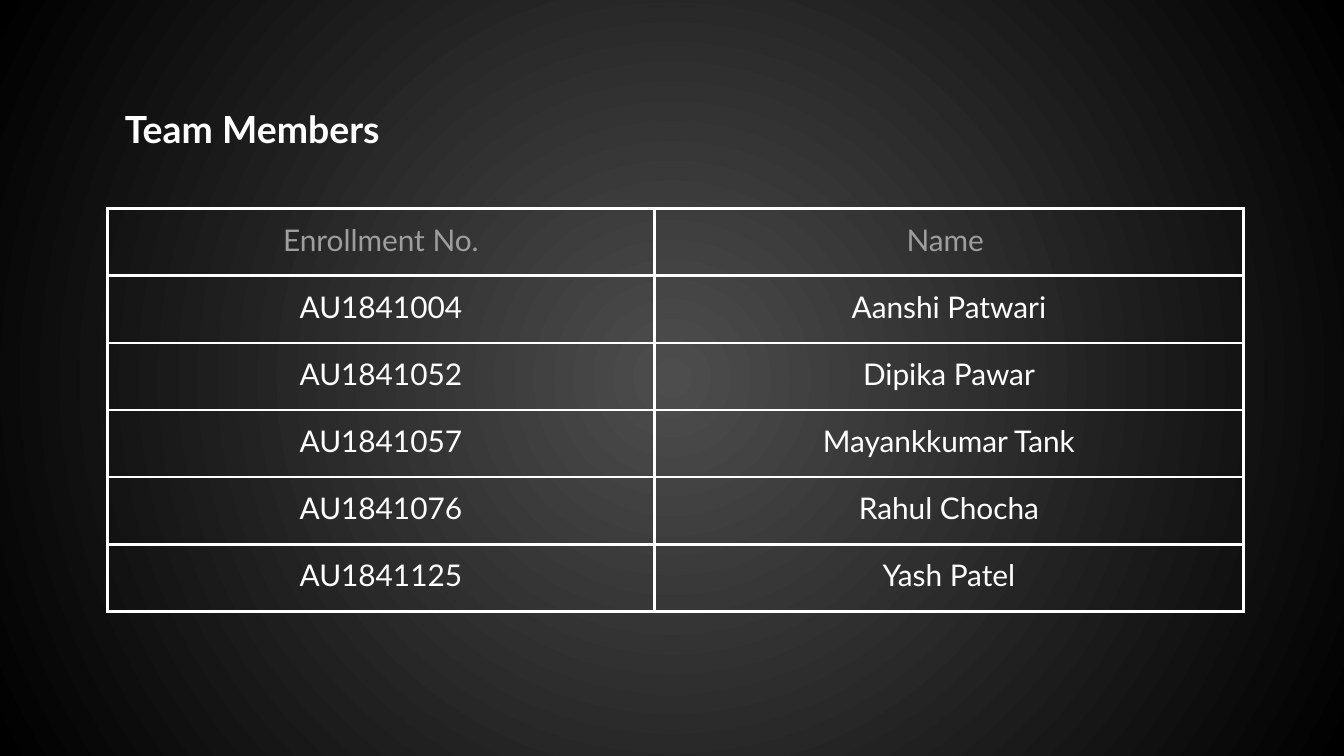
from dataclasses import dataclass

from lxml.etree import SubElement
from pptx import Presentation
from pptx.dml.color import RGBColor
from pptx.enum.text import MSO_ANCHOR, PP_ALIGN
from pptx.oxml import parse_xml
from pptx.oxml.ns import nsdecls, qn
from pptx.util import Cm, Pt


@dataclass(frozen=True)
class Theme:
    font: str = "Lato"
    text: str = "FFFFFF"
    header: str = "9E9E9E"
    border: str = "FFFFFF"
    glow: str = "4D4D4D"
    edge: str = "000000"
    title_size: int = 20
    table_size: int = 16
    border_width: float = 1.5


theme = Theme()
INSET = Cm(0.25)


def format_text(paragraph, size, color, bold=False):
    for run in paragraph.runs:
        run.font.name = theme.font
        run.font.size = Pt(size)
        run.font.bold = bold
        run.font.color.rgb = RGBColor.from_string(color)


def add_borders(cell):
    properties = cell._tc.get_or_add_tcPr()
    for side in ("lnL", "lnR", "lnT", "lnB"):
        line = SubElement(properties, qn(f"a:{side}"), w=str(Pt(theme.border_width)))
        fill = SubElement(line, qn("a:solidFill"))
        SubElement(fill, qn("a:srgbClr"), val=theme.border)


presentation = Presentation()
presentation.slide_width = Cm(25.4)
presentation.slide_height = Cm(14.29)
slide = presentation.slides.add_slide(presentation.slide_layouts[6])

# Background: a circular glow from the centre
background = slide.background.fill
background.gradient()
for stop, color in zip(background.gradient_stops, (theme.glow, theme.edge)):
    stop.color.rgb = RGBColor.from_string(color)
linear = slide._element.find(f".//{qn('a:gradFill')}/{qn('a:lin')}")
linear.getparent().replace(linear, parse_xml(
    f'<a:path {nsdecls("a")} path="circle">'
    '<a:fillToRect l="50000" t="50000" r="50000" b="50000"/></a:path>'))

# Title
title = slide.shapes.add_textbox(Cm(2.11), Cm(1.8), Cm(17.15), Cm(1.14))
frame = title.text_frame
frame.word_wrap = True
frame.vertical_anchor = MSO_ANCHOR.MIDDLE
frame.margin_left = frame.margin_right = frame.margin_top = frame.margin_bottom = INSET
frame.text = "Team Members"
frame.paragraphs[0].line_spacing = 1.15
format_text(frame.paragraphs[0], theme.title_size, theme.text, bold=True)

# Members table
members = [
    ("Enrollment No.", "Name "),
    ("AU1841004", "Aanshi Patwari"),
    ("AU1841052", "Dipika Pawar"),
    ("AU1841057", "Mayankkumar Tank"),
    ("AU1841076", "Rahul Chocha"),
    ("AU1841125", "Yash Patel"),
]
column_widths = (Cm(10.34), Cm(11.13))
row_height = Cm(1.27)
table = slide.shapes.add_table(
    len(members), len(column_widths), Cm(2.03), Cm(3.94),
    sum(column_widths), row_height * len(members)).table
table.horz_banding = False
for column, width in zip(table.columns, column_widths):
    column.width = width

for row_index, member in enumerate(members):
    table.rows[row_index].height = row_height
    color = theme.text if row_index else theme.header
    for column_index, value in enumerate(member):
        cell = table.cell(row_index, column_index)
        cell.margin_left = cell.margin_right = INSET
        cell.margin_top = cell.margin_bottom = INSET
        add_borders(cell)
        cell.fill.background()
        cell.text_frame.text = value
        paragraph = cell.text_frame.paragraphs[0]
        paragraph.alignment = PP_ALIGN.CENTER
        format_text(paragraph, theme.table_size, color)

presentation.save("out.pptx")
